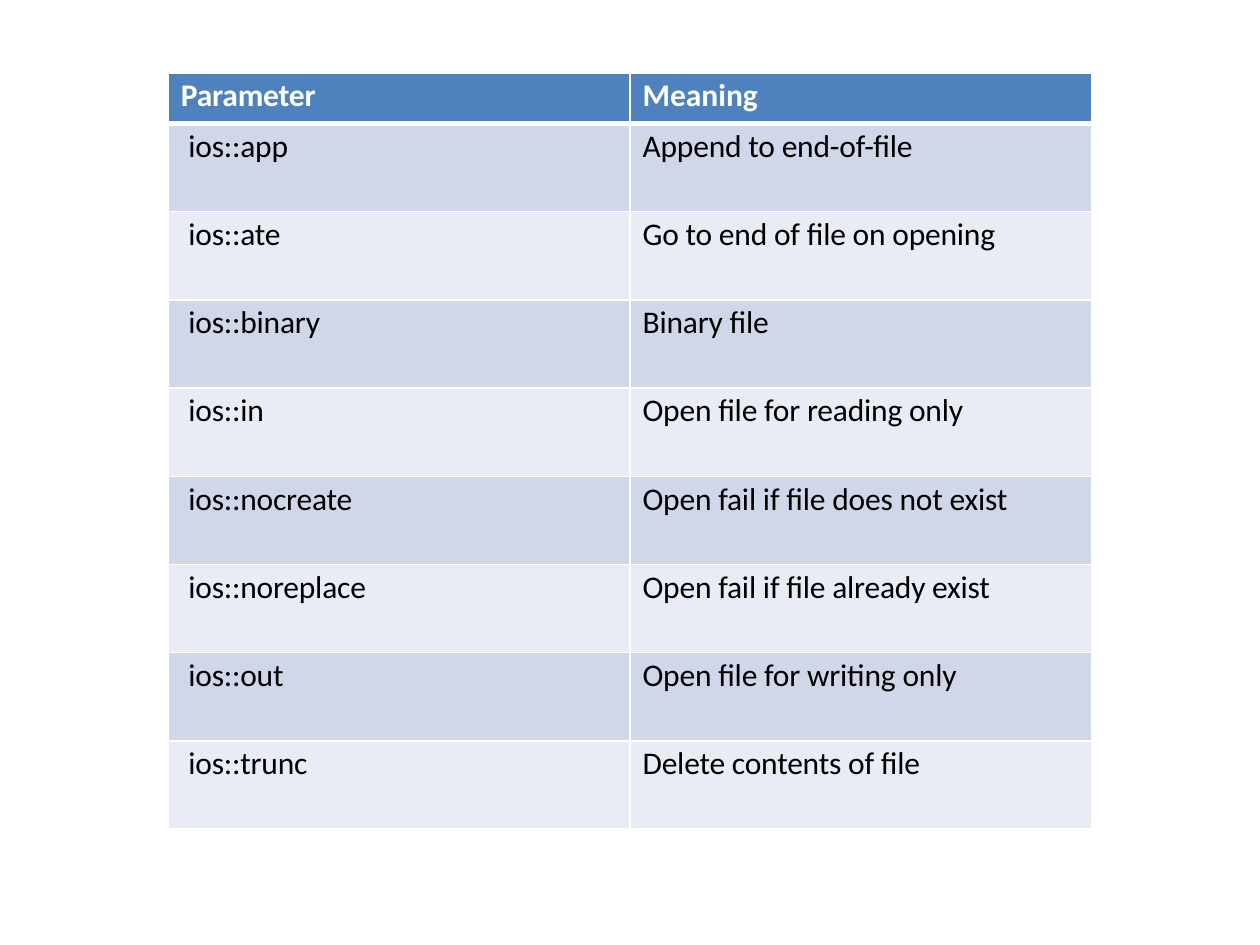
from lxml.etree import SubElement
from pptx import Presentation
from pptx.dml.color import RGBColor
from pptx.oxml.ns import qn
from pptx.util import Inches, Pt

WIDE, HIGH = 10, 7.5
HEAD, BANDS, LINE = "4F81BC", ("D0D7E8", "E9ECF4"), "FFFFFF"
ROWS = [
    ("Parameter", "Meaning"),
    ("ios::app", "Append to end-of-file"),
    ("ios::ate", "Go to end of file on opening"),
    ("ios::binary", "Binary file"),
    ("ios::in", "Open file for reading only"),
    ("ios::nocreate", "Open fail if file does not exist"),
    ("ios::noreplace", "Open fail if file already exist"),
    ("ios::out", "Open file for writing only"),
    ("ios::trunc", "Delete contents of file"),
]


def paint(code):
    return RGBColor.from_string(code)


def write(cell, text, size=18, color="000000", bold=False, left=0.1, track=-0.1):
    """Fill a cell with one formatted line of text."""
    cell.margin_left, cell.margin_top = Inches(left), Inches(0.03)
    cell.margin_right = cell.margin_bottom = 0
    cell.text = text
    run = cell.text_frame.paragraphs[0].runs[0]
    font = run.font
    font.name, font.size, font.bold = "Calibri", Pt(size), bold
    font.color.rgb = paint(color)
    font._element.set("spc", str(round(track * 100)))


def edge(cell, top=1, base=1):
    """Draw the four cell borders, ahead of the fill."""
    props = cell._tc.get_or_add_tcPr()
    sides = {"lnL": 1, "lnR": 1, "lnT": top, "lnB": base}
    for side, width in sides.items():
        line = SubElement(props, qn(f"a:{side}"), w=str(Pt(width)))
        fill = SubElement(line, qn("a:solidFill"))
        SubElement(fill, qn("a:srgbClr"), val=LINE)


def modes(slide, left, top, width, height):
    """Table of file modes: a short header over equal rows."""
    count = len(ROWS)
    box = [Inches(n) for n in (left, top, width, height)]
    table = slide.shapes.add_table(count, 2, *box).table
    first = height / 15
    for col in table.columns:
        col.width = Inches(width / 2)
    for r, texts in enumerate(ROWS):
        head = r == 0
        share = first if head else (height - first) / (count - 1)
        table.rows[r].height = Inches(share)
        for c, text in enumerate(texts):
            cell = table.cell(r, c)
            # Mode names sit slightly further in than other text
            write(cell, text, bold=head, color=LINE if head else "000000",
                  left=0.1 if head or c else 0.16,
                  track=0 if head and c else -0.1)
            # Thick rule between header and body
            edge(cell, top=3 if r == 1 else 1, base=3 if head else 1)
            cell.fill.solid()
            cell.fill.fore_color.rgb = paint(HEAD if head else BANDS[(r - 1) % 2])


def main():
    deck = Presentation()
    deck.slide_width, deck.slide_height = Inches(WIDE), Inches(HIGH)
    slide = deck.slides.add_slide(deck.slide_layouts[6])
    # Table centred across the slide
    width = WIDE * 0.733
    modes(slide, (WIDE - width) / 2, 0.58, width, HIGH * 0.8)
    deck.save("out.pptx")


if __name__ == "__main__":
    main()
